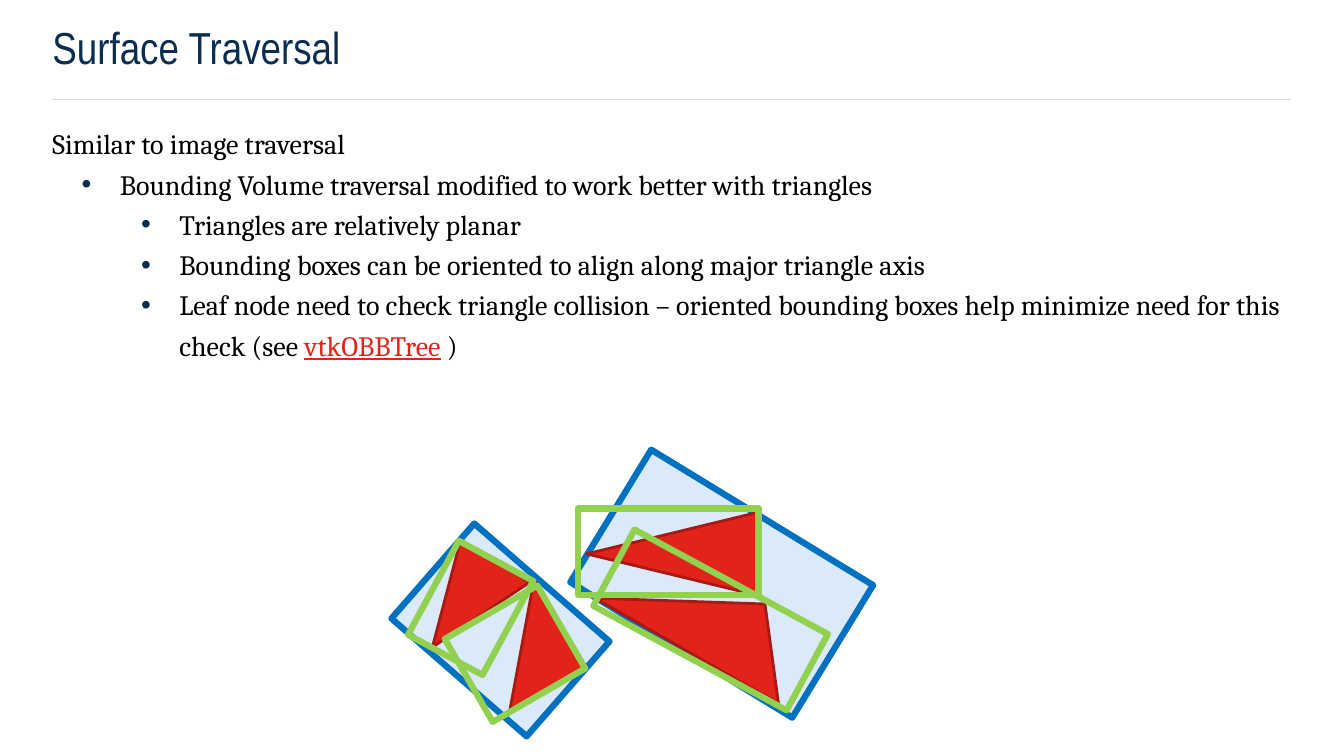
"""Build the Surface Traversal slide with its oriented bounding boxes."""
from dataclasses import dataclass
from typing import Any, Optional

from lxml.etree import SubElement
from pptx import Presentation
from pptx.dml.color import RGBColor
from pptx.enum.shapes import MSO_CONNECTOR as Connector, MSO_SHAPE as Shape
from pptx.enum.text import MSO_ANCHOR as Anchor, MSO_AUTO_SIZE as AutoSize, PP_ALIGN as Align
from pptx.oxml.ns import qn
from pptx.util import Emu, Inches, Pt

COLUMNS, ROWS = 80, 45
CELL = Inches(1) // 6
LEFT, WIDTH = 3.12, 73.7
RULE_ROW = 5.94

COLORS = {
    "navy": "0A2D50", "black": "000000", "rule": "CDD7DC", "link": "E2231A",
    "parent_fill": "DAEAFA", "parent_line": "0070C0",
    "triangle_fill": "E2231A", "triangle_line": "A71A13", "leaf_line": "92D050",
}
FRAME_FORMAT = {
    "margin_left": 0, "margin_top": 0, "margin_right": 0, "margin_bottom": 0,
    "word_wrap": True, "auto_size": AutoSize.NONE, "vertical_anchor": Anchor.TOP,
}
TITLE_FONT = {"name": "Arial Narrow", "size": Pt(32), "bold": False}
BODY_FONT = {"name": "Cambria", "size": Pt(20)}


@dataclass(frozen=True)
class Style:
    kind: Shape
    fill: Optional[str]
    line: str
    weight: float


@dataclass(frozen=True)
class Figure:
    style: Style
    left: float
    top: float
    width: float
    height: float
    rotation: float
    apex: float = 0.5


@dataclass(frozen=True)
class Span:
    text: str
    color: str = "black"
    underline: bool = False


@dataclass(frozen=True)
class Line:
    level: int
    spans: tuple[Span, ...]


PARENT = Style(Shape.RECTANGLE, "parent_fill", "parent_line", 4.5)
TRIANGLE = Style(Shape.ISOSCELES_TRIANGLE, "triangle_fill", "triangle_line", 2)
LEAF = Style(Shape.RECTANGLE, None, "leaf_line", 4.5)

FIGURES = (
    Figure(PARENT, 26.04, 32.16, 7.5, 10.68, 311.1),
    Figure(PARENT, 38.34, 27, 9.24, 15.48, 301.4),
    Figure(TRIANGLE, 35.76, 34.32, 12.6, 4.74, 29.9, 0.71),
    Figure(TRIANGLE, 37.56, 27.84, 4.98, 10.26, 270),
    Figure(TRIANGLE, 23.94, 32.58, 6.96, 4.38, 326.3, 0.71),
    Figure(TRIANGLE, 28.02, 35.82, 6.06, 5.34, 239.1, 0),
    Figure(LEAF, 37.2, 27.48, 5.16, 10.74, 270),
    Figure(LEAF, 39.72, 30.36, 5.16, 13.08, 298.4),
    Figure(LEAF, 24.84, 33.66, 6.36, 5.04, 298.4),
    Figure(LEAF, 27.48, 36.06, 6.36, 5.7, 330),
)
INDENTS = {1: 4.02, 3: 7.56}
HANGING = 2.28
LINES = (
    Line(0, (Span("Similar to image traversal"),)),
    Line(1, (Span("Bounding Volume traversal modified to work better with triangles"),)),
    Line(3, (Span("Triangles are relatively planar"),)),
    Line(3, (Span("Bounding boxes can be oriented to align along major triangle axis"),)),
    Line(3, (
        Span("Leaf node need to check triangle collision – oriented bounding boxes "
             "help minimize need for this check (see "),
        Span("vtkOBBTree", "link", True),
        Span(" )"),
    )),
)


def cells(count: float) -> Emu:
    """Convert grid cells to a length."""
    return Emu(round(count * CELL))


def color(name: str) -> RGBColor:
    """Look up a named colour."""
    return RGBColor.from_string(COLORS[name])


def apply(target: Any, values: dict[str, Any]) -> None:
    """Set each format value on the target."""
    for name, value in values.items():
        setattr(target, name, value)


def place(box: Any, top: float, height: float) -> None:
    """Place a full-width text box and format its frame."""
    apply(box, {"left": cells(LEFT), "top": cells(top),
                "width": cells(WIDTH), "height": cells(height)})
    apply(box.text_frame, FRAME_FORMAT)


def add_span(para: Any, span: Span, font: dict[str, Any]) -> None:
    """Add one formatted run to a paragraph."""
    run = para.add_run()
    run.text = span.text
    apply(run.font, {**font, "underline": span.underline})
    run.font.color.rgb = color(span.color)


def add_bullet(para: Any, level: int) -> None:
    """Give a paragraph a hanging bullet."""
    properties = para._p.get_or_add_pPr()
    properties.set("marL", str(cells(INDENTS[level])))
    properties.set("indent", str(-cells(HANGING)))
    tint = SubElement(properties, qn("a:buClr"))
    SubElement(tint, qn("a:srgbClr")).set("val", COLORS["navy"])
    SubElement(properties, qn("a:buFont")).set("typeface", "Arial")
    SubElement(properties, qn("a:buChar")).set("char", "•")


def add_title(page: Any) -> None:
    """Fill the title placeholder."""
    title = page.shapes.title
    place(title, 1.2, 4.74)
    para = title.text_frame.paragraphs[0]
    para.alignment = Align.LEFT
    add_span(para, Span("Surface Traversal", "navy"), TITLE_FONT)


def add_rule(page: Any) -> None:
    """Draw the rule below the title."""
    rule = page.shapes.add_connector(Connector.STRAIGHT, cells(LEFT), cells(RULE_ROW),
                                     cells(LEFT + WIDTH), cells(RULE_ROW))
    rule.line.color.rgb = color("rule")
    rule.line.width = Pt(1)
    SubElement(rule._element.spPr, qn("a:effectLst"))


def add_body(page: Any) -> None:
    """Write the outline text."""
    box = page.shapes.add_textbox(0, 0, CELL, CELL)
    place(box, 7.14, 31.86)
    frame = box.text_frame
    for index, line in enumerate(LINES):
        para = frame.add_paragraph() if index else frame.paragraphs[0]
        if line.level:
            add_bullet(para, line.level)
        apply(para, {"level": line.level, "line_spacing": 1.2, "alignment": Align.LEFT})
        for span in line.spans:
            add_span(para, span, BODY_FONT)


def add_figure(page: Any, figure: Figure) -> None:
    """Draw one rotated box or triangle."""
    style = figure.style
    shape = page.shapes.add_shape(style.kind, cells(figure.left), cells(figure.top),
                                  cells(figure.width), cells(figure.height))
    shape.rotation = figure.rotation
    shape.shadow.inherit = False
    if style.kind == Shape.ISOSCELES_TRIANGLE:
        shape.adjustments[0] = figure.apex
    if style.fill:
        shape.fill.solid()
        shape.fill.fore_color.rgb = color(style.fill)
    else:
        shape.fill.background()
    shape.line.color.rgb = color(style.line)
    shape.line.width = Pt(style.weight)


def main() -> None:
    """Build and save the deck."""
    deck = Presentation()
    apply(deck, {"slide_width": cells(COLUMNS), "slide_height": cells(ROWS)})
    page = deck.slides.add_slide(deck.slide_layouts.get_by_name("Title Only"))
    add_rule(page)
    add_title(page)
    add_body(page)
    for figure in FIGURES:
        add_figure(page, figure)
    deck.save("out.pptx")


if __name__ == "__main__":
    main()
